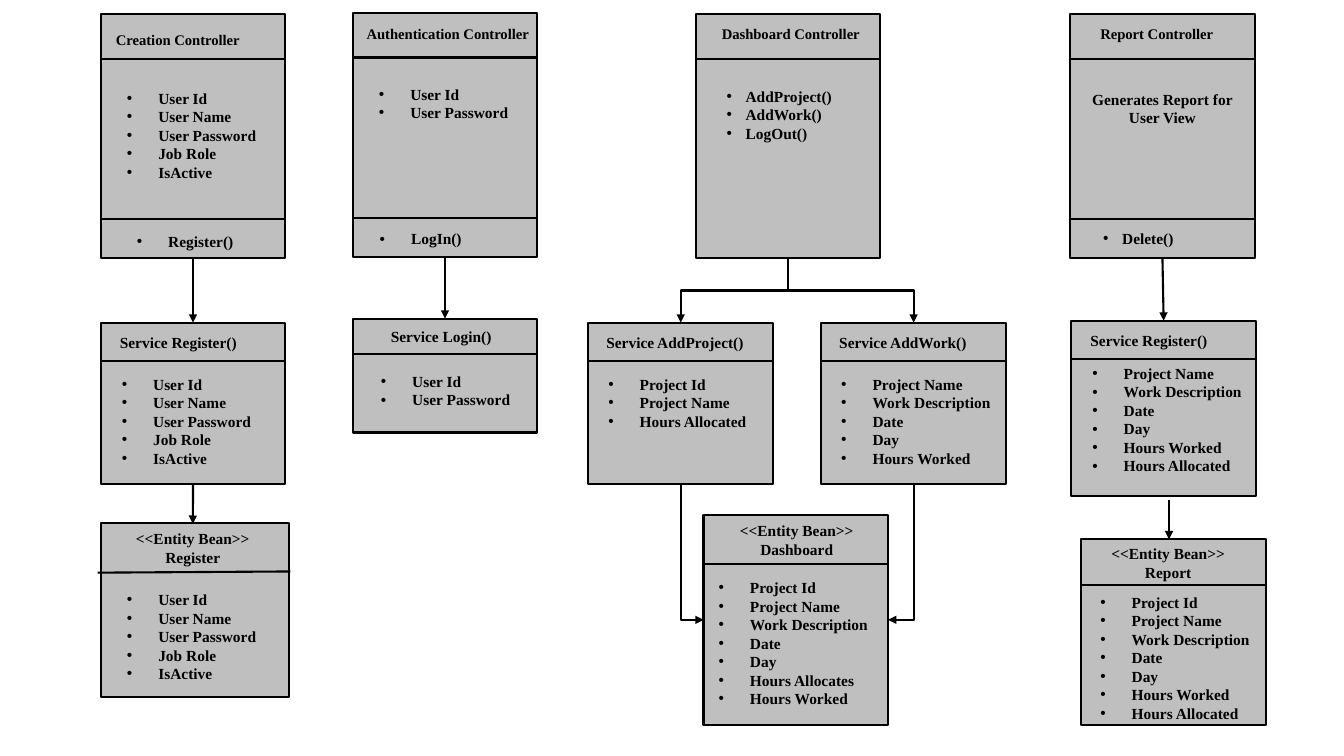
from pptx import Presentation, util as u
from pptx.dml.color import RGBColor
from pptx.enum import shapes, text
from pptx.oxml import parse_xml
from pptx.oxml.ns import nsdecls, qn

Cm = u.Cm
HUE = {"ink": "000000", "box": "BFBFBF"}
FONT = "Times New Roman"
WIDE = 4.65
MID = text.PP_ALIGN.CENTER
KIND = shapes.MSO_CONNECTOR
USER = ["User Id", "User Name", "User Password", "Job Role", "IsActive"]
WORK = ["Project Name", "Work Description", "Date", "Day", "Hours Worked"]


def tint(name):
    """Return a named colour."""
    return RGBColor.from_string(HUE[name])


def panel(slide, box, cuts):
    """Draw a grey box with full-width rules at the given depths."""
    x, y, w, h = box
    rect = slide.shapes.add_shape(shapes.MSO_SHAPE.RECTANGLE, *map(Cm, box))
    rect.shadow.inherit = False
    rect.fill.solid()
    rect.fill.fore_color.rgb = tint("box")
    rect.line.color.rgb = tint("ink")
    rect.line.width = u.Pt(1.5)
    for cut in cuts:
        wire(slide, (x, y + cut), (x + w, y + cut))
    return rect


def write(slide, box, spot, lines, size=11, align=None, dent=0):
    """Place lines of bold text at a spot (dx, dy, width) within a box."""
    dx, dy, w = spot
    high = 0.25 + 0.47 * sum(1 + line.count("\n") for line in lines)
    area = slide.shapes.add_textbox(
        Cm(box[0] + dx), Cm(box[1] + dy), Cm(w), Cm(high))
    frame = area.text_frame
    frame.word_wrap = True
    frame.auto_size = text.MSO_AUTO_SIZE.SHAPE_TO_FIT_TEXT
    for i, line in enumerate(lines):
        para = frame.add_paragraph() if i else frame.paragraphs[0]
        para.alignment = align
        if dent:
            bullet(para, dent)
        for j, part in enumerate(line.split("\n")):
            if j:
                para.add_line_break()
            run = para.add_run()
            run.text = part
            run.font.name = FONT
            run.font.size = u.Pt(size)
            run.font.bold = True
            run.font.color.rgb = tint("ink")


def bullet(para, dent):
    """Give a paragraph a round bullet and a hanging indent."""
    props = para._p.get_or_add_pPr()
    props.set("marL", str(Cm(dent)))
    props.set("indent", str(-Cm(dent)))
    props.append(parse_xml(f'<a:buFont {nsdecls("a")} typeface="Arial"/>'))
    props.append(parse_xml(f'<a:buChar {nsdecls("a")} char="•"/>'))


def wire(slide, start, end, kind=KIND.STRAIGHT, tip=False):
    """Draw a black connector, with an arrowhead if asked."""
    link = slide.shapes.add_connector(kind, *map(Cm, start + end))
    link.line.color.rgb = tint("ink")
    link.line.width = u.Pt(1.5)
    if tip:
        link.line._get_or_add_ln().append(
            parse_xml(f'<a:tailEnd {nsdecls("a")} type="triangle"/>'))
    link.element.spPr.append(parse_xml(f'<a:effectLst {nsdecls("a")}/>'))
    return link


def drop(slide, top, low):
    """Join two boxes with a straight arrow downwards."""
    link = wire(slide, (0, 0), (0, 0), tip=True)
    link.begin_connect(top, 2)
    link.end_connect(low, 0)


def bend(slide, top, low, side):
    """Join two boxes with an elbow arrow that leaves downwards."""
    link = wire(slide, (0, 0), (0, 0), KIND.ELBOW, True)
    link.begin_connect(top, 2)
    link.end_connect(low, side)
    x, y, dx, dy = (link.begin_x, link.begin_y,
                    link.end_x - link.begin_x, link.end_y - link.begin_y)
    link.left, link.top = x + (dx - dy) // 2, y + (dy - abs(dx)) // 2
    link.width, link.height = dy, abs(dx)
    form = link.element.spPr.find(qn("a:xfrm"))
    for flip in ("flipH", "flipV"):
        form.attrib.pop(flip, None)
    form.set("rot", "16200000" if dx > 0 else "5400000")
    if dx > 0:
        form.set("flipH", "1")
    if side:
        link.element.spPr.find(qn("a:prstGeom")).set("prst", "bentConnector2")


def control(slide, x, y, head, title, body, items, dent=0.79, foot=None, call=None):
    """Draw a controller with its fields and, if any, its call."""
    box = (x, y, WIDE, 6.15)
    rect = panel(slide, box, [1.12, 5.16] if foot else [1.12])
    write(slide, box, head, [title], 10.5)
    write(slide, box, body, items, align=None if dent else MID, dent=dent)
    if foot:
        write(slide, box, foot, [call], dent=dent or 0.48)
    return rect


def service(slide, box, cut, head, title, body, items):
    """Draw a service with its list of fields."""
    rect = panel(slide, box, [cut])
    write(slide, box, head, [f"Service {title}()"])
    write(slide, box, body, items, dent=0.79)
    return rect


def bean(slide, box, cuts, head, title, body, items):
    """Draw an entity bean with its list of fields."""
    rect = panel(slide, box, cuts)
    write(slide, box, head, [f"<<Entity Bean>>\n{title}"], align=MID)
    write(slide, box, body, items, dent=0.79)
    return rect


def signup(slide):
    """Draw the creation column."""
    top = control(slide, 2.54, 0.36, (0.13, 0.28, 4.88), "Creation Controller",
                  (0.41, 1.75, 4.01), USER, foot=(0.66, 5.36, 3.33), call="Register()")
    mid = service(slide, (2.54, 8.13, WIDE, 4.06), 0.97, (0.23, 0.13, 3.89),
                  "Register", (0.28, 1.19, 4.01), USER)
    bean(slide, (2.54, 13.18, 4.75, 4.39), [], (0.43, 0.03, 3.78),
         "Register", (0.41, 1.57, 4.01), USER)
    wire(slide, (2.46, 14.43), (7.32, 14.4))
    drop(slide, top, mid)
    wire(slide, (4.86, 12.19), (4.86, 13.2), tip=True).begin_connect(mid, 2)


def login(slide):
    """Draw the authentication column."""
    keys = ["User Id", "User Password"]
    top = control(slide, 8.89, 0.33, (0.1, 0.18, 4.88), "Authentication Controller",
                  (0.41, 1.68, 4.01), keys, foot=(0.43, 5.33, 2.95), call="LogIn()")
    low = service(slide, (8.89, 8.03, WIDE, 2.87), 0.89, (0.71, 0.1, 3.89),
                  "Login", (0.46, 1.22, 4.01), keys)
    drop(slide, top, low)


def board(slide):
    """Draw the dashboard column with its two services."""
    top = control(slide, 17.53, 0.36, (0.41, 0.15, 6.32), "Dashboard Controller",
                  (0.53, 1.7, 3.99), ["AddProject()", "AddWork()", "LogOut()"], 0.48)
    left = service(slide, (14.83, 8.13, WIDE, 4.06), 0.97, (0.2, 0.13, 4.42),
                   "AddProject", (0.25, 1.19, 4.01),
                   ["Project Id", "Project Name", "Hours Allocated"])
    right = service(slide, (20.7, 8.13, WIDE, 4.06), 0.97, (0.2, 0.13, 3.89),
                    "AddWork", (0.25, 1.19, 4.37), WORK)
    low = bean(slide, (17.73, 12.98, WIDE, 5.28), [1.24], (0.46, 0.03, 3.78),
               "Dashboard", (0.13, 1.47, 4.37),
               ["Project Id", *WORK[:-1], "Hours Allocates", "Hours Worked"])
    for unit, side in ((left, 1), (right, 3)):
        bend(slide, top, unit, 0)
        bend(slide, unit, low, side)


def report(slide):
    """Draw the report column."""
    items = WORK + ["Hours Allocated"]
    top = control(slide, 26.97, 0.36, (0.51, 0.13, 5.23), "Report Controller",
                  (0.28, 1.78, 4.09), ["Generates Report for User View"], 0,
                  (0.58, 5.28, 2.74), "Delete()")
    mid = service(slide, (27, 8.08, WIDE, 4.42), 0.97, (0.23, 0.13, 3.89),
                  "Register", (0.28, 0.97, 4.37), items)
    bean(slide, (27.25, 13.59, WIDE, 4.67), [1.14], (0.3, 0, 3.78),
         "Report", (0.23, 1.22, 4.37), ["Project Id"] + items)
    drop(slide, top, mid)
    wire(slide, (29.46, 12.6), (29.46, 13.59), tip=True)


def main():
    """Build and save the slide."""
    deck = Presentation()
    deck.slide_width, deck.slide_height = Cm(33.87), Cm(19.05)
    slide = deck.slides.add_slide(deck.slide_layouts[6])
    for column in (signup, login, board, report):
        column(slide)
    deck.save("out.pptx")


if __name__ == "__main__":
    main()
